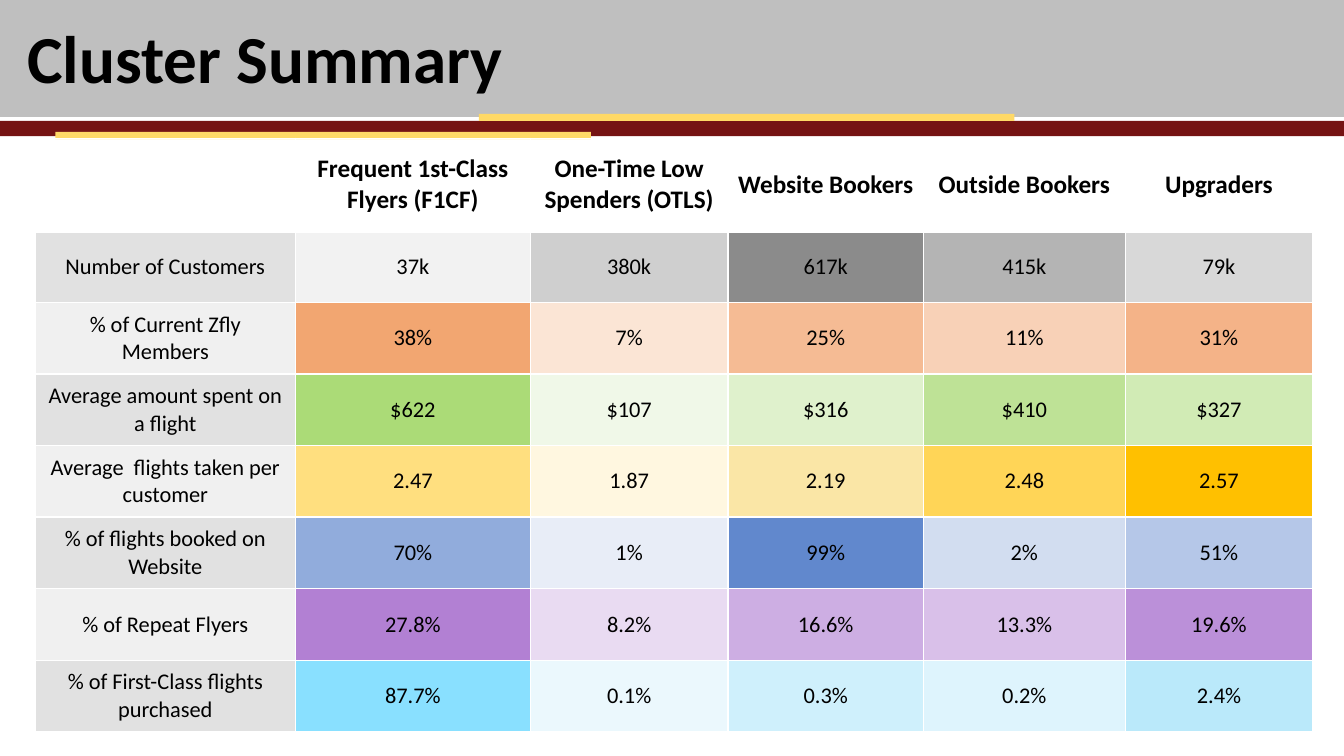
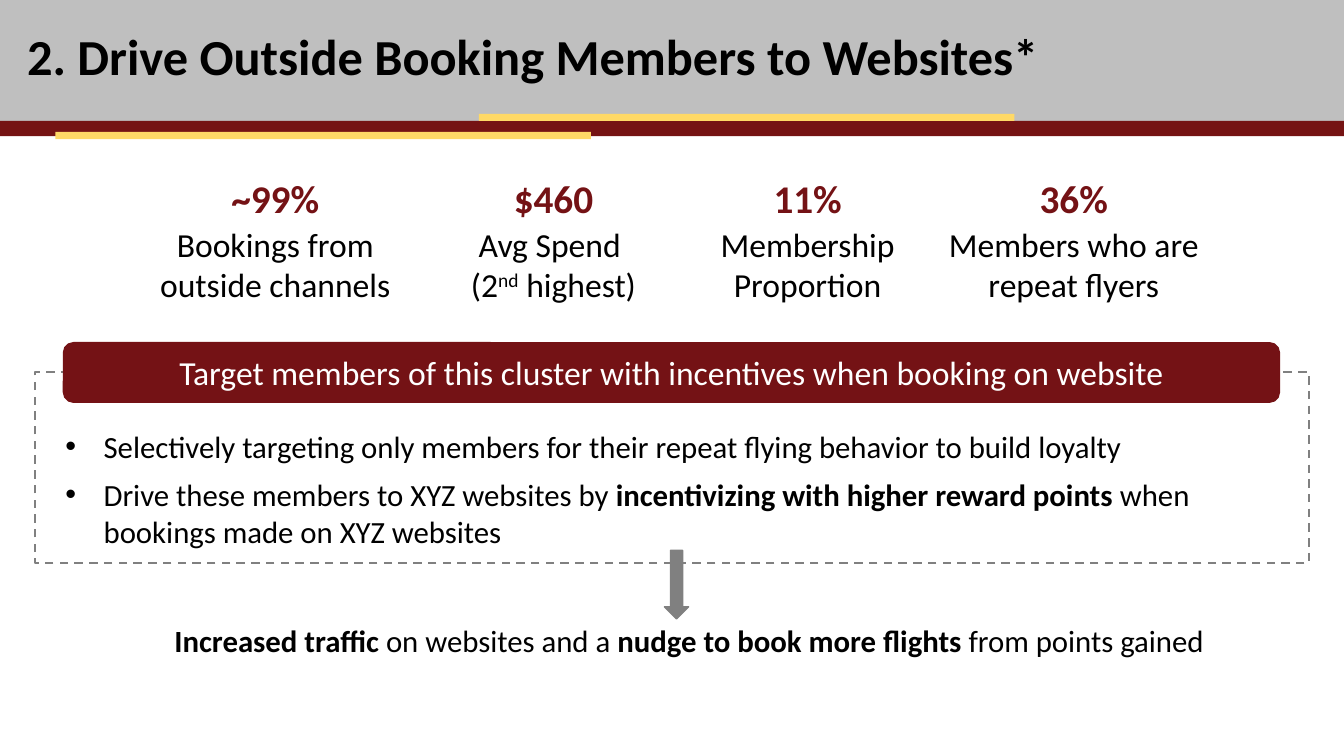
"""Build two slides: a customer cluster table and a website booking recommendation."""
import pptx
import pptx.util
import pptx.dml.color
import pptx.enum.dml
import pptx.enum.shapes
import pptx.enum.text
import pptx.oxml.ns
from dataclasses import dataclass
from lxml import etree

Inches = pptx.util.Inches
Pt = pptx.util.Pt
RGBColor = pptx.dml.color.RGBColor
Shape = pptx.enum.shapes.MSO_SHAPE
Align = pptx.enum.text.PP_ALIGN
Anchor = pptx.enum.text.MSO_ANCHOR
qn = pptx.oxml.ns.qn


@dataclass(frozen=True)
class Theme:
    font: str = "Calibri"
    black: str = "000000"
    white: str = "FFFFFF"
    band: str = "BFBFBF"
    maroon: str = "751313"
    accent: str = "741215"
    gold: str = "FFD966"
    gray: str = "808080"
    label_fills: tuple = ("E1E1E1", "F0F0F0")
    title: int = 48
    long_title: int = 36
    value: int = 28
    label: int = 24
    body: int = 22
    table_header: int = 18
    table_body: int = 16


THEME = Theme()
SLIDE_WIDTH, SLIDE_HEIGHT = 13.33, 7.5

CLUSTERS = ["Frequent 1st-Class Flyers (F1CF)", "One-Time Low Spenders (OTLS)",
            "Website Bookers", "Outside Bookers", "Upgraders"]
MEASURES = [
    ("Number of Customers",
     [("37k", "808080", 10), ("380k", "C7C7C7", 85), ("617k", "808080", 91),
      ("415k", "A7A7A7", 85), ("79k", "808080", 30)]),
    ("% of Current Zfly Members",
     [("38%", "F1995D", 87), ("7%", "ED7D31", 20), ("25%", "F1995D", 66),
      ("11%", "ED7D31", 35), ("31%", "F2A36E", 82)]),
    ("Average amount spent on a flight",
     [("$622", "ABDB77", 100), ("$107", "92D050", 13), ("$316", "ADDB7B", 38),
      ("$410", "AFDC7E", 81), ("$327", "B2DE82", 59)]),
    ("Average  flights taken per customer",
     [("2.47", "FFC000", 50), ("1.87", "FFC000", 12), ("2.19", "F2B800", 35),
      ("2.48", "FFC000", 66), ("2.57", "FFC000", 100)]),
    ("% of flights booked on Website",
     [("70%", "5C84CC", 67), ("1%", "4472C4", 12), ("99%", "6188CD", 100),
      ("2%", "4472C4", 24), ("51%", "5F86CD", 46)]),
    ("% of Repeat Flyers",
     [("27.8%", "AA73CF", 90), ("8.2%", "9C5CC8", 22), ("16.6%", "AD79D1", 60),
      ("13.3%", "A367CB", 41), ("19.6%", "A367CB", 73)]),
    ("% of First-Class flights purchased",
     [("87.7%", "75DBFF", 85), ("0.1%", "00B0F0", 8), ("0.3%", "00B0F0", 19),
      ("0.2%", "00B0F0", 13), ("2.4%", "00B0F0", 27)]),
]
COLUMN_WIDTHS = [2.58, 2.33, 1.96, 1.94, 2, 1.86]
HEADER_HEIGHT, ROW_HEIGHT = 0.92, 0.71

METRICS = [
    ("~99%", [[("Bookings from outside channels", "")]], 2.73, 2.68),
    ("$460", [[("Avg Spend ", "")],
              [("(2", ""), ("nd", "superscript"), (" highest)", "")]], 5.49, 2.37),
    ("11%", [[("Membership Proportion", "")]], 8.01, 2.71),
    ("36%", [[("Members who are repeat flyers", "")]], 10.65, 2.71),
]
RECOMMENDATION = "Target members of this cluster with incentives when booking on website"
ACTIONS = [
    [("Selectively targeting only members for their repeat flying behavior to build loyalty", "")],
    [("Drive these members to XYZ websites by ", ""),
     ("incentivizing with higher reward points ", "bold"),
     ("when bookings made on XYZ websites", "")],
]
OUTCOME = [[("Increased traffic ", "bold"), ("on websites and a ", ""),
            ("nudge to book more flights ", "bold"), ("from points gained", "")]]


def color(value):
    return RGBColor.from_string(value)


def box(values):
    return [Inches(value) for value in values]


def format_run(run, size, fill, bold=False):
    run.font.name = THEME.font
    run.font.size = Pt(size)
    run.font.bold = bold
    run.font.color.rgb = color(fill)


def write(frame, paragraphs, size, fill=THEME.black, bold=False, align=Align.CENTER, spacing=0):
    frame.word_wrap = True
    for index, runs in enumerate(paragraphs):
        paragraph = frame.paragraphs[0] if index == 0 else frame.add_paragraph()
        paragraph.alignment = align
        paragraph.space_before = paragraph.space_after = Pt(spacing)
        for text, style in runs:
            run = paragraph.add_run()
            run.text = text
            format_run(run, size, fill, bold or style == "bold")
            if style == "superscript":
                run.font._element.set("baseline", "30000")


def add_text(slide, place, paragraphs, size, **options):
    frame = slide.shapes.add_textbox(*box(place)).text_frame
    write(frame, paragraphs, size, **options)
    return frame


def add_block(slide, kind, place, fill=None, line=None, width=1):
    shape = slide.shapes.add_shape(kind, *box(place))
    shape.shadow.inherit = False
    if fill:
        shape.fill.solid()
        shape.fill.fore_color.rgb = color(fill)
    else:
        shape.fill.background()
    if line:
        shape.line.color.rgb = color(line)
        shape.line.width = Pt(width)
    else:
        shape.line.fill.background()
    return shape


def add_header(slide, title, size, band_height, title_top):
    add_block(slide, Shape.RECTANGLE, (0, 0, SLIDE_WIDTH, band_height), THEME.band)
    frame = add_text(slide, (0.17, title_top, 12.89, 1.45), [[(title, "")]], size,
                     bold=True, align=Align.LEFT)
    frame.vertical_anchor = Anchor.MIDDLE
    frame.paragraphs[0].line_spacing = 0.9
    add_block(slide, Shape.RECTANGLE, (0, 1.2, SLIDE_WIDTH, 0.15), THEME.maroon)
    for left, top in ((0.55, 1.31), (4.75, 1.13)):
        add_block(slide, Shape.RECTANGLE, (left, top, 5.31, 0.07), THEME.gold)


def set_borders(cell, bottom):
    properties = cell._tc.get_or_add_tcPr()
    for side, width in (("lnL", 1), ("lnR", 1), ("lnT", 1), ("lnB", bottom)):
        line = etree.SubElement(properties, qn(f"a:{side}"), w=str(Pt(width)))
        solid = etree.SubElement(line, qn("a:solidFill"))
        etree.SubElement(solid, qn("a:srgbClr"), val=THEME.white)


def fill_cell(cell, text, size, fill=None, opacity=100, bold=False, bottom=1):
    set_borders(cell, bottom)
    cell.vertical_anchor = Anchor.MIDDLE
    if text:
        write(cell.text_frame, [[(text, "")]], size, bold=bold)
    if not fill:
        cell.fill.background()
        return
    cell.fill.solid()
    cell.fill.fore_color.rgb = color(fill)
    if opacity < 100:
        tint = cell._tc.tcPr.find(qn("a:solidFill")).find(qn("a:srgbClr"))
        etree.SubElement(tint, qn("a:alpha"), val=str(opacity * 1000))


def add_cluster_table(slide):
    heights = [HEADER_HEIGHT] + [ROW_HEIGHT] * len(MEASURES)
    place = (0.35, 1.37, sum(COLUMN_WIDTHS), sum(heights))
    table = slide.shapes.add_table(len(heights), len(COLUMN_WIDTHS), *box(place)).table
    table.first_row = table.horz_banding = False
    for column, width in zip(table.columns, COLUMN_WIDTHS):
        column.width = Inches(width)
    for row, height in zip(table.rows, heights):
        row.height = Inches(height)
    for index, name in enumerate([""] + CLUSTERS):
        fill_cell(table.cell(0, index), name, THEME.table_header, bold=True, bottom=3)
    for row, (measure, values) in enumerate(MEASURES, 1):
        label = (measure, THEME.label_fills[(row - 1) % 2], 100)
        for index, (text, fill, opacity) in enumerate([label] + values):
            fill_cell(table.cell(row, index), text, THEME.table_body, fill, opacity)


def add_bullets(frame):
    for paragraph in frame.paragraphs:
        properties = paragraph._p.get_or_add_pPr()
        properties.set("marL", str(Inches(0.38)))
        properties.set("indent", str(-Inches(0.38)))
        etree.SubElement(properties, qn("a:buFont"), typeface="Arial")
        etree.SubElement(properties, qn("a:buChar"), char="•")


def build_summary(slide):
    add_header(slide, "Cluster Summary", THEME.title, 1.16, -0.11)
    add_cluster_table(slide)


def build_recommendation(slide):
    frame = add_block(slide, Shape.RECTANGLE, (0.35, 3.69, 12.63, 1.9),
                      line=THEME.gray, width=1.5)
    frame.line.dash_style = pptx.enum.dml.MSO_LINE.DASH
    add_header(slide, "2. Drive Outside Booking Members to Websites*",
               THEME.long_title, 1.2, -0.14)
    banner = add_block(slide, Shape.ROUNDED_RECTANGLE, (0.63, 3.4, 12.06, 0.59),
                       THEME.accent, THEME.accent)
    banner.text_frame.vertical_anchor = Anchor.MIDDLE
    write(banner.text_frame, [[(RECOMMENDATION, "")]], THEME.label, fill=THEME.white)
    for value, label, center, width in METRICS:
        add_text(slide, (center - width / 2, 2.17, width, 0.91), label, THEME.label)
        add_text(slide, (center - 0.62, 1.68, 1.24, 0.57), [[(value, "")]], THEME.value,
                 fill=THEME.accent, bold=True)
    add_bullets(add_text(slide, (0.55, 4.19, 12.14, 1.3), ACTIONS, THEME.body,
                         align=Align.LEFT, spacing=4))
    add_block(slide, Shape.DOWN_ARROW, (6.59, 5.46, 0.24, 0.68), THEME.gray, THEME.gray)
    add_text(slide, (0.52, 6.12, 12.63, 0.47), OUTCOME, THEME.body, spacing=9)


def main():
    presentation = pptx.Presentation()
    presentation.slide_width = Inches(SLIDE_WIDTH)
    presentation.slide_height = Inches(SLIDE_HEIGHT)
    for build in (build_summary, build_recommendation):
        build(presentation.slides.add_slide(presentation.slide_layouts[6]))
    presentation.save("out.pptx")


if __name__ == "__main__":
    main()
